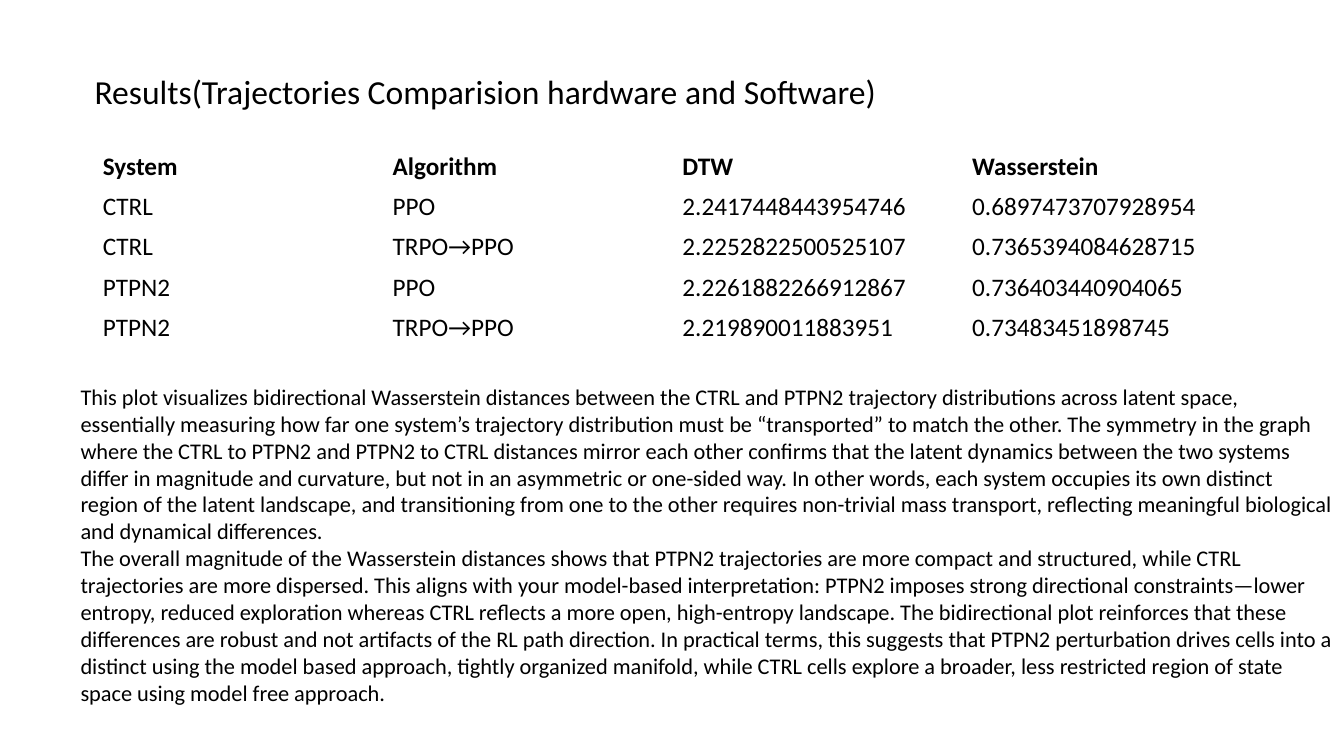
from dataclasses import dataclass

from pptx import Presentation
from pptx.dml.color import RGBColor
from pptx.enum.text import MSO_ANCHOR, MSO_AUTO_SIZE, PP_ALIGN
from pptx.util import Cm, Pt

# Content
TITLE = "Results(Trajectories Comparision hardware and Software)"
RESULTS = [
    ("System", "Algorithm", "DTW", "Wasserstein"),
    ("CTRL", "PPO", "2.2417448443954746", "0.6897473707928954"),
    ("CTRL", "TRPO→PPO", "2.2252822500525107", "0.7365394084628715"),
    ("PTPN2", "PPO", "2.2261882266912867", "0.736403440904065"),
    ("PTPN2", "TRPO→PPO", "2.219890011883951", "0.73483451898745"),
]
DISCUSSION = [
    "This plot visualizes bidirectional Wasserstein distances between the CTRL and PTPN2 "
    "trajectory distributions across latent space, essentially measuring how far one system’s "
    "trajectory distribution must be “transported” to match the other. The symmetry in the graph "
    "where the CTRL to PTPN2 and PTPN2 to CTRL distances mirror each other confirms that the "
    "latent dynamics between the two systems differ in magnitude and curvature, but not in an "
    "asymmetric or one-sided way. In other words, each system occupies its own distinct region "
    "of the latent landscape, and transitioning from one to the other requires non-trivial mass "
    "transport, reflecting meaningful biological and dynamical differences.",
    "The overall magnitude of the Wasserstein distances shows that PTPN2 trajectories are more "
    "compact and structured, while CTRL trajectories are more dispersed. This aligns with your "
    "model-based interpretation: PTPN2 imposes strong directional constraints—lower entropy, "
    "reduced exploration whereas CTRL reflects a more open, high-entropy landscape. The "
    "bidirectional plot reinforces that these differences are robust and not artifacts of the RL "
    "path direction. In practical terms, this suggests that PTPN2 perturbation drives cells into "
    "a distinct using the model based approach, tightly organized manifold, while CTRL cells "
    "explore a broader, less restricted region of state space using model free approach.",
]


@dataclass(frozen=True)
class Theme:
    font: str = "Calibri"
    ink: RGBColor = RGBColor(0, 0, 0)
    title: Pt = Pt(24)
    table: Pt = Pt(18)
    body: Pt = Pt(16)


THEME = Theme()
CONTENT_W = Cm(29.21)
ROW_H = Cm(1.016)


def add_run(p, text, size, bold=False):
    r = p.add_run()
    r.text = text
    r.font.name = THEME.font
    r.font.size = size
    r.font.bold = bold
    r.font.color.rgb = THEME.ink


def add_title(s):
    sp = s.shapes.title
    sp.left, sp.top, sp.width, sp.height = Cm(2.13), Cm(0.53), CONTENT_W, Cm(3.68)
    tf = sp.text_frame
    tf.vertical_anchor = MSO_ANCHOR.MIDDLE
    p = tf.paragraphs[0]
    p.alignment = PP_ALIGN.LEFT
    p.line_spacing = 0.9
    add_run(p, TITLE, THEME.title)


def add_results(s):
    n_rows, n_cols = len(RESULTS), len(RESULTS[0])
    table = s.shapes.add_table(n_rows, n_cols, Cm(2.34), Cm(3.68),
                               CONTENT_W, ROW_H * n_rows).table
    table.horz_banding = False
    for i, values in enumerate(RESULTS):
        for j, value in enumerate(values):
            cell = table.cell(i, j)
            cell.fill.background()
            cell.vertical_anchor = MSO_ANCHOR.MIDDLE
            add_run(cell.text_frame.paragraphs[0], value, THEME.table, bold=i == 0)


def add_discussion(s):
    tf = s.shapes.add_textbox(Cm(1.78), Cm(9.53), Cm(32.08), Cm(8.46)).text_frame
    tf.word_wrap = True
    tf.auto_size = MSO_AUTO_SIZE.SHAPE_TO_FIT_TEXT
    for i, text in enumerate(DISCUSSION):
        p = tf.add_paragraph() if i else tf.paragraphs[0]
        add_run(p, text, THEME.body)


def main():
    prs = Presentation()
    prs.slide_width, prs.slide_height = Cm(33.87), Cm(19.05)
    s = prs.slides.add_slide(prs.slide_layouts[5])
    add_title(s)
    add_discussion(s)
    add_results(s)
    prs.save("out.pptx")


if __name__ == "__main__":
    main()
